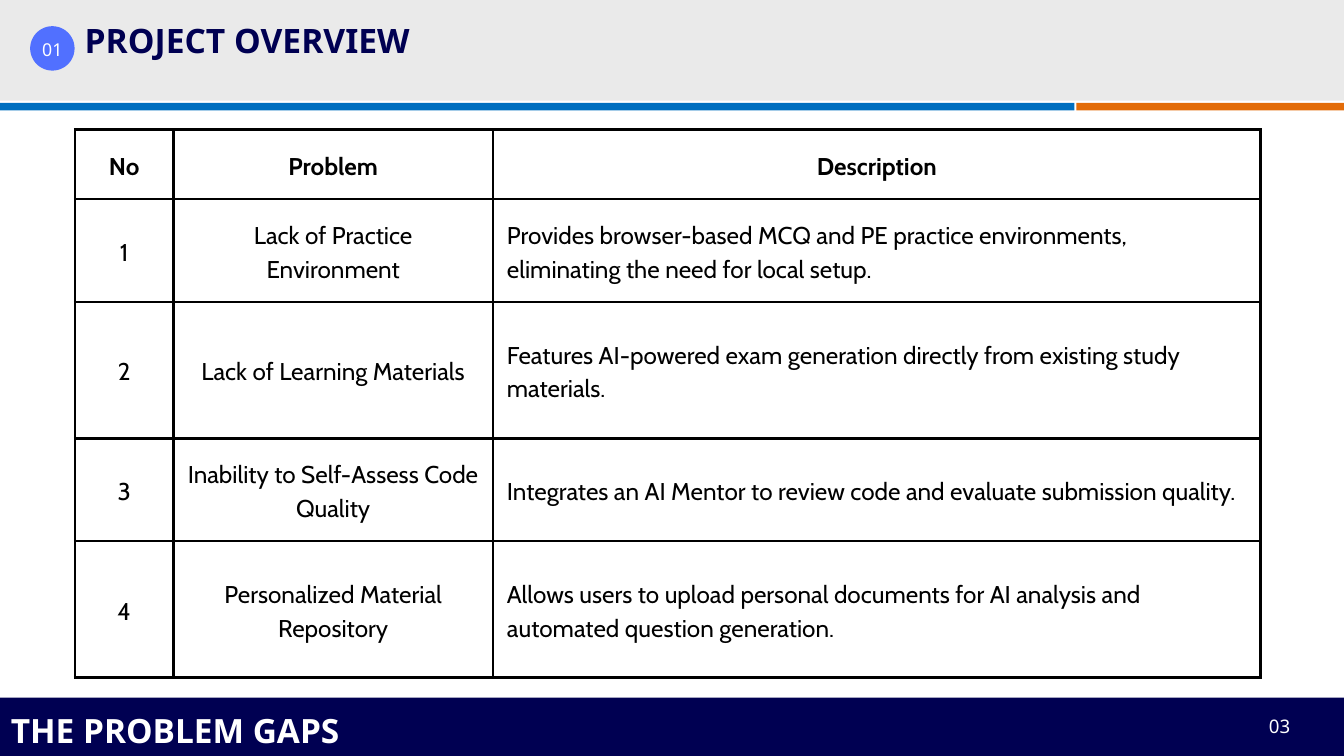
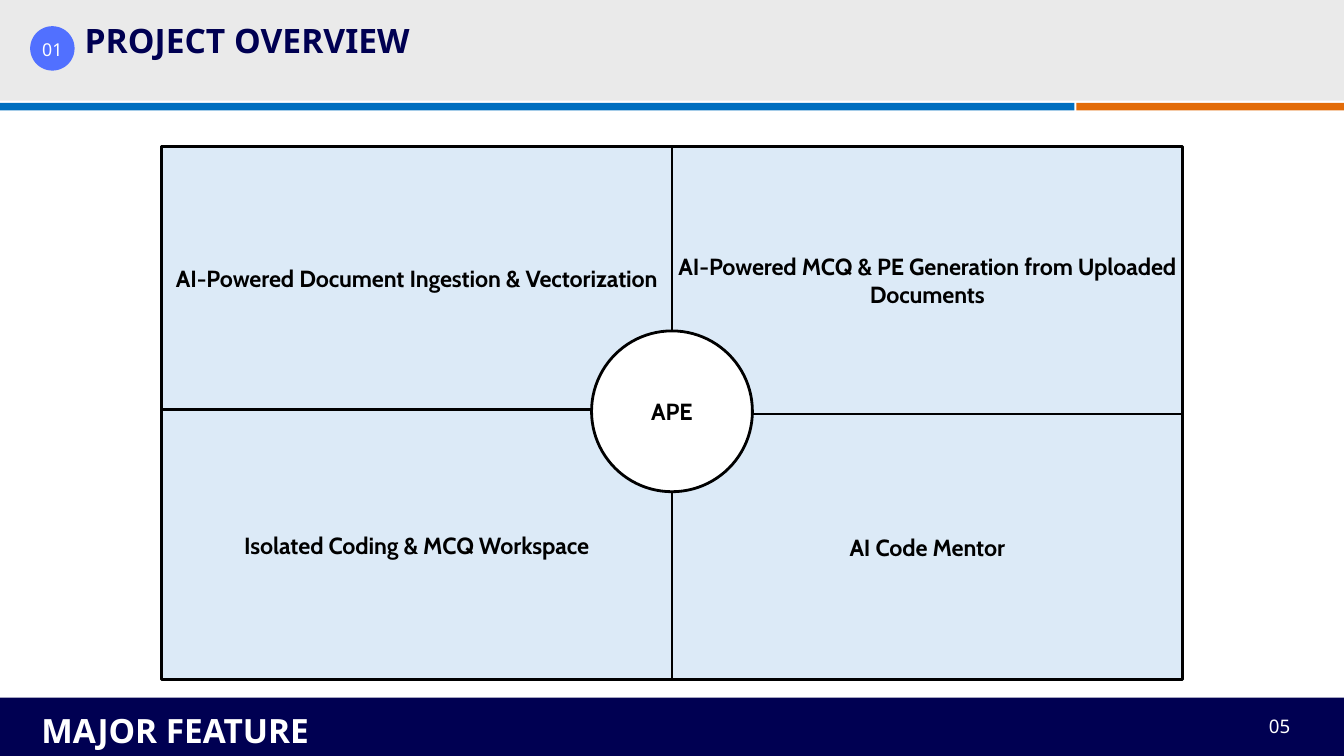
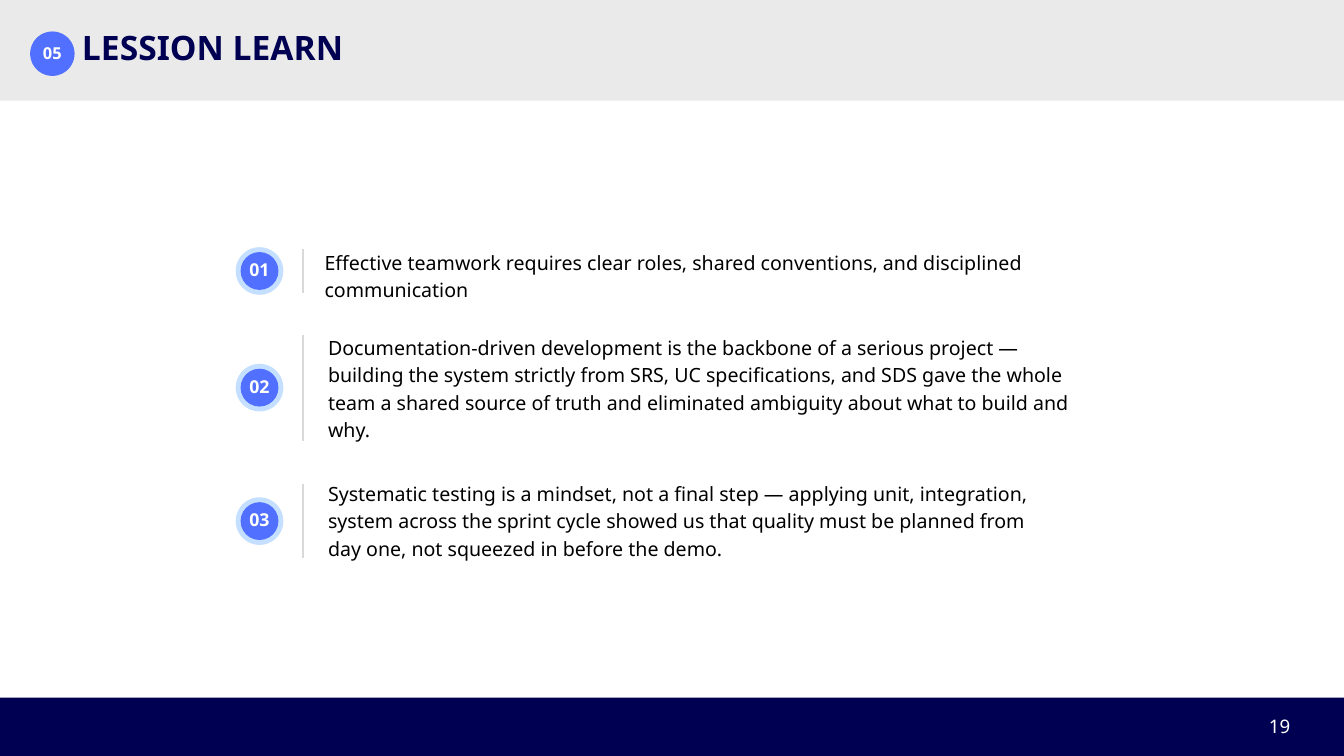
from dataclasses import dataclass

from lxml import etree
from pptx import Presentation
from pptx.dml.color import RGBColor as RGB
from pptx.enum.shapes import MSO_CONNECTOR as LINE, MSO_SHAPE as SHAPE
from pptx.enum.text import MSO_ANCHOR as ANCHOR, PP_ALIGN as ALIGN
from pptx.oxml import parse_xml
from pptx.oxml.ns import qn
from pptx.util import Cm, Pt


@dataclass(frozen=True)
class Theme:
    navy: str = "000052"
    grey: str = "EAEAEA"
    blue: str = "006FC0"
    orange: str = "E36C09"
    badge: str = "5170FF"
    halo: str = "C4DFFF"
    rule: str = "D9D9D9"
    panel: str = "DCEAF7"
    white: str = "FFFFFF"
    black: str = "000000"
    sans: str = "Noto Sans"
    cabin: str = "Cabin"
    title: float = 36
    caption: float = 35.8
    table: float = 26
    feature: float = 25
    lesson: float = 21
    page: float = 20
    number: float = 19
    small_number: float = 17.6


T = Theme()
W, H = 50.8, 28.58


def add_block(s, kind, x, y, w, h, fill, border=None):
    """Add a flat preset shape, outlined only if a border colour is given."""
    sp = s.shapes.add_shape(kind, Cm(x), Cm(y), Cm(w), Cm(h))
    sp.shadow.inherit = False
    sp.fill.solid()
    sp.fill.fore_color.rgb = RGB.from_string(fill)
    if border:
        sp.line.color.rgb = RGB.from_string(border)
        sp.line.width = Pt(3)
    else:
        sp.line.fill.background()
    return sp


def write(tf, text, size, leading, color=T.black, font=T.sans, bold=False,
          align=ALIGN.LEFT, anchor=ANCHOR.TOP, margin=0):
    """Fill a text frame with one run, with exact line spacing in points."""
    tf.word_wrap = True
    tf.vertical_anchor = anchor
    tf.margin_left = tf.margin_right = tf.margin_top = tf.margin_bottom = Cm(margin)
    p = tf.paragraphs[0]
    p.alignment = align
    p.line_spacing = Pt(leading)
    r = p.add_run()
    r.text = text
    r.font.size, r.font.name, r.font.bold = Pt(size), font, bold
    r.font.color.rgb = RGB.from_string(color)
    return r


prs = Presentation()
prs.slide_width, prs.slide_height = Cm(W), Cm(H)
centred = dict(align=ALIGN.CENTER, anchor=ANCHOR.MIDDLE)

# Shared frame: header band, section badge, title, stripes and footer
frames = [
    # section, title, title x, title y, badge y, footer caption, page
    ("01", "PROJECT OVERVIEW", 3.2, 1.24, 0.99, "THE PROBLEM GAPS", "03"),
    ("01", "PROJECT OVERVIEW", 3.2, 1.24, 0.99, "MAJOR FEATURE", "05"),
    ("05", "LESSION LEARN", 3.1, 1.52, 1.19, None, "19"),
]
slides = []
for section, title, title_x, title_y, badge_y, caption, page in frames:
    s = prs.slides.add_slide(prs.slide_layouts[6])
    slides.append(s)
    add_block(s, SHAPE.RECTANGLE, 0, 0, W, 3.81, T.grey)
    add_block(s, SHAPE.RECTANGLE, 0, 26.37, W, H - 26.37, T.navy)
    badge = add_block(s, SHAPE.OVAL, 1.14, badge_y, 1.68, 1.68, T.badge)
    tb = s.shapes.add_textbox(Cm(title_x), Cm(title_y), Cm(20.47), Cm(1.14))
    write(tb.text_frame, title, T.title, 29.5, T.navy, bold=True)
    tb = s.shapes.add_textbox(Cm(35.74), Cm(27.3), Cm(13.03), Cm(0.64))
    write(tb.text_frame, page, T.page, 16.4, T.white, align=ALIGN.RIGHT)
    if caption:
        write(badge.text_frame, section, T.number, 24, T.white, **centred)
        add_block(s, SHAPE.RECTANGLE, 0, 3.89, 40.61, 0.28, T.blue)
        add_block(s, SHAPE.RECTANGLE, 40.69, 3.89, W - 40.69, 0.28, T.orange)
        tb = s.shapes.add_textbox(Cm(0.12), Cm(26.59), Cm(13), Cm(1.68))
        write(tb.text_frame, caption, T.caption, 50.1, T.white, bold=True,
              align=ALIGN.CENTER)
    else:
        write(badge.text_frame, section, T.small_number, 20, T.white, bold=True,
              **centred)

gaps_slide, feature_slide, lesson_slide = slides

# Problem gaps table
gaps = [
    ("No", "Problem", "Description"),
    ("1", "Lack of Practice Environment",
     "Provides browser-based MCQ and PE practice environments, "
     "eliminating the need for local setup."),
    ("2", "Lack of Learning Materials",
     "Features AI-powered exam generation directly from existing study materials."),
    ("3", "Inability to Self-Assess Code Quality",
     "Integrates an AI Mentor to review code and evaluate submission quality."),
    ("4", "Personalized Material Repository",
     "Allows users to upload personal documents for AI analysis and "
     "automated question generation."),
]
col_widths = [3.71, 12.09, 29.01]
row_heights = [2.62, 3.89, 5.16, 3.89, 5.16]
border_xml = (
    '<a:{side} xmlns:a="http://schemas.openxmlformats.org/drawingml/2006/main" w="38100">'
    '<a:solidFill><a:srgbClr val="{color}"/></a:solidFill></a:{side}>'
)
table = gaps_slide.shapes.add_table(
    len(gaps), len(col_widths), Cm(2.84), Cm(4.9),
    Cm(sum(col_widths)), Cm(sum(row_heights))).table
for col, width in zip(table.columns, col_widths):
    col.width = Cm(width)
for i, (row, height) in enumerate(zip(gaps, row_heights)):
    table.rows[i].height = Cm(height)
    for j, text in enumerate(row):
        cell = table.cell(i, j)
        left = i > 0 and j == 2
        write(cell.text_frame, text, T.table, 36.4, font=T.cabin, bold=i == 0,
              align=ALIGN.LEFT if left else ALIGN.CENTER)
        cell.vertical_anchor = ANCHOR.MIDDLE
        cell.margin_left = cell.margin_right = Cm(0.52)
        cell.margin_top = cell.margin_bottom = Cm(0.52)
        tc_pr = cell._tc.get_or_add_tcPr()
        for side in ("lnL", "lnR", "lnT", "lnB"):
            tc_pr.append(parse_xml(border_xml.format(side=side, color=T.black)))
        cell.fill.background()

# Four feature panels around a hub
left, middle, top, bottom = 6.1, 25.4, 5.53, 25.7
left_split, right_split = 15.49, 15.65
hub = 6.08
features = [
    ("AI-Powered Document Ingestion & Vectorization",
     SHAPE.RECTANGLE, left, top, middle - left, left_split - top, T.panel),
    ("Isolated Coding & MCQ Workspace",
     SHAPE.RECTANGLE, left, left_split, middle - left, bottom - left_split, T.panel),
    ("AI Code Mentor",
     SHAPE.RECTANGLE, middle, right_split, middle - left, bottom - right_split, T.panel),
    ("AI-Powered MCQ & PE Generation from Uploaded Documents",
     SHAPE.RECTANGLE, middle, top, middle - left, right_split - top, T.panel),
    ("APE", SHAPE.OVAL, middle - hub / 2, 15.55 - hub / 2, hub, hub, T.white),
]
for text, kind, x, y, w, h, fill in features:
    sp = add_block(feature_slide, kind, x, y, w, h, fill, T.black)
    r = write(sp.text_frame, text, T.feature, 30, font=T.cabin, bold=True,
              margin=0.15, **centred)
    r._r.get_or_add_rPr().set("spc", "-10")

# Numbered lessons
lessons = [
    # rule top, rule bottom, text x, text y, text width, text
    (9.42, 11.07, 12.27, 9.32, 26.97,
     "Effective teamwork requires clear roles, shared conventions, "
     "and disciplined communication"),
    (12.65, 16.66, 12.4, 12.55, 28.96,
     "Documentation-driven development is the backbone of a serious project — "
     "building the system strictly from SRS, UC specifications, and SDS gave the "
     "whole team a shared source of truth and eliminated ambiguity about what to "
     "build and why."),
    (18.29, 21.11, 12.4, 18.06, 26.97,
     "Systematic testing is a mindset, not a final step — applying unit, "
     "integration, system across the sprint cycle showed us that quality must be "
     "planned from day one, not squeezed in before the demo."),
]
for n, (rule_top, rule_bottom, x, y, w, text) in enumerate(lessons, 1):
    centre_y = (rule_top + rule_bottom) / 2
    for size, fill in ((1.8, T.halo), (1.43, T.badge)):
        disc = add_block(lesson_slide, SHAPE.OVAL, 9.81 - size / 2,
                         centre_y - size / 2, size, size, fill)
    write(disc.text_frame, f"{n:02}", T.number, 20, T.white, bold=True, **centred)
    rule = lesson_slide.shapes.add_connector(
        LINE.STRAIGHT, Cm(11.46), Cm(rule_top), Cm(11.46), Cm(rule_bottom))
    rule.line.color.rgb = RGB.from_string(T.rule)
    rule.line.width = Pt(1.5)
    etree.SubElement(rule._element.spPr, qn("a:effectLst"))
    tb = lesson_slide.shapes.add_textbox(
        Cm(x), Cm(y), Cm(w), Cm(rule_bottom - rule_top + 0.3))
    write(tb.text_frame, text, T.lesson, 29.4)

prs.save("out.pptx")
